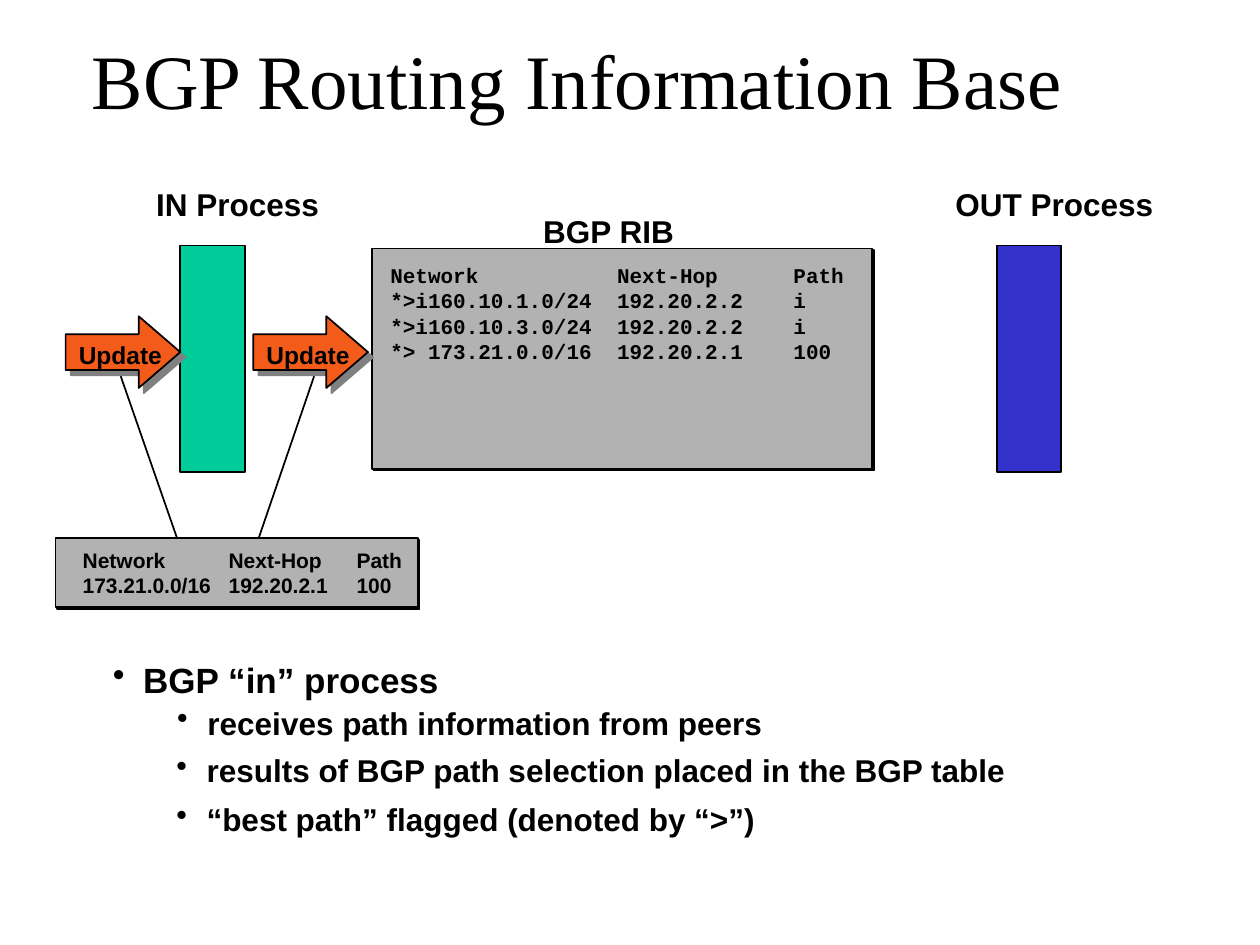
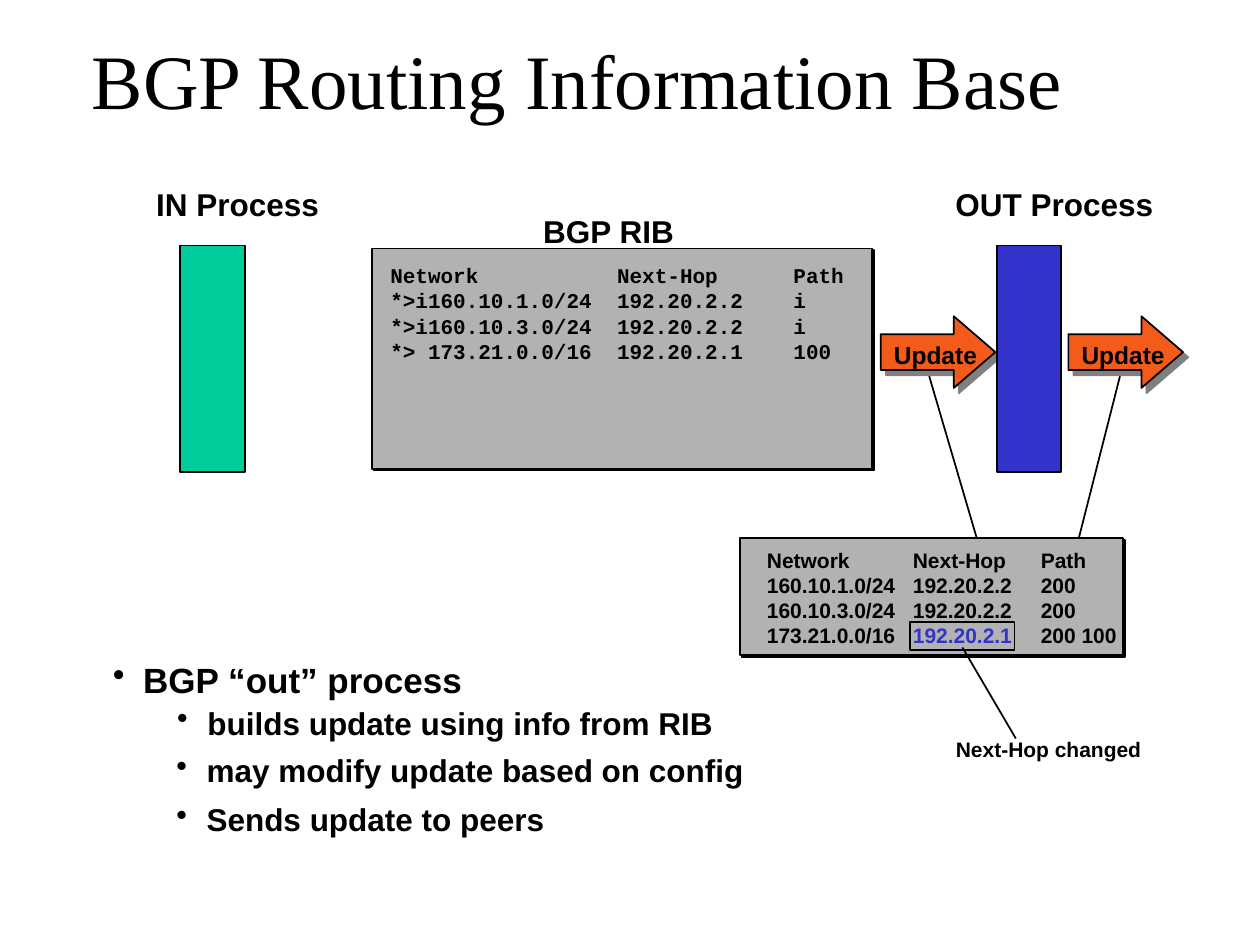
from lxml import etree
from pptx import Presentation
from pptx.dml.color import RGBColor
from pptx.enum.shapes import MSO_CONNECTOR, MSO_SHAPE
from pptx.enum.text import MSO_ANCHOR, PP_ALIGN
from pptx.oxml.ns import qn
from pptx.util import Pt

RECTANGLE, ARROW = MSO_SHAPE.RECTANGLE, MSO_SHAPE.RIGHT_ARROW
STRAIGHT = MSO_CONNECTOR.STRAIGHT
LEFT, CENTER = PP_ALIGN.LEFT, PP_ALIGN.CENTER
TOP, MIDDLE = MSO_ANCHOR.TOP, MSO_ANCHOR.MIDDLE

BLACK, GRAY, SHADE = "000000", "B2B2B2", "808080"
GREEN, BLUE, ORANGE = "00CC99", "3333CC", "F35B1B"

TITLE = "BGP Routing Information Base"
HEADER = ("Network", "Next-Hop", "Path")
RIB_ROWS = [
    HEADER,
    ("*>i160.10.1.0/24", "192.20.2.2", "i"),
    ("*>i160.10.3.0/24", "192.20.2.2", "i"),
    ("*> 173.21.0.0/16", "192.20.2.1", "100"),
]
LABELS = [
    ("IN Process", 75.75, 102, 120),
    ("BGP RIB", 297.75, 117.5, 100),
    ("OUT Process", 532.5, 102, 140),
]
BULLET_LEVELS = [(20, 17.25, 0), (18, 54, 2), (18, 53.5, 5.5), (18, 53.5, 6.5)]

SLIDES = [
    {
        "arrows_left": 37.5,
        "update": (31.75, 207, 39.5),
        "rows": [HEADER, ("173.21.0.0/16", "192.20.2.1", "100")],
        "callouts": [(69, 215, 101, 307), (179.5, 215, 148, 307)],
        "bullets": [
            "BGP “in” process",
            "receives path information from peers",
            "results of BGP path selection placed in the BGP table",
            "“best path” flagged (denoted by “>”)",
        ],
    },
    {
        "arrows_left": 503.25,
        "update": (422.75, 219, 67),
        "rows": [
            HEADER,
            ("160.10.1.0/24", "192.20.2.2", "200"),
            ("160.10.3.0/24", "192.20.2.2", "200"),
            ("173.21.0.0/16", "192.20.2.1", "200 100"),
        ],
        "callouts": [(531, 215, 558, 307), (640, 215, 616.5, 307.5)],
        "changed": (3, 1),
        "note": "Next-Hop changed",
        "bullets": [
            "BGP “out” process",
            "builds update using info from RIB",
            "may modify update based on config",
            "Sends update to peers",
        ],
    },
]

ARROW_STEP = 107.25
RIB_STYLE = {"font": "Courier New", "stops": (129.6, 230.4), "inset": (10.5, 8.2)}
UPDATE_STYLE = {"font": "Arial", "stops": (83.4, 156.5), "inset": (15.5, 5.2)}


def rgb(code):
    return RGBColor.from_string(code)


def set_all(target, values):
    for name, value in values.items():
        setattr(target, name, value)


def add_child(parent, tag, **attributes):
    return etree.SubElement(parent, qn(tag), attributes)


def add_span(para, text, size, font="Arial", color=BLACK, bold=True):
    span = para.add_run()
    span.text = text
    set_all(span.font, {"name": font, "size": Pt(size), "bold": bold})
    span.font.color.rgb = rgb(color)


def set_frame(box, insets, anchor=TOP, wrap=False):
    left, top, right, bottom = map(Pt, insets)
    set_all(box.text_frame, {
        "margin_left": left, "margin_top": top, "margin_right": right,
        "margin_bottom": bottom, "vertical_anchor": anchor, "word_wrap": wrap,
    })
    return box.text_frame


def next_para(frame, index):
    return frame.add_paragraph() if index else frame.paragraphs[0]


def add_text(page, text, place, size, anchor=TOP, **look):
    box = page.shapes.add_textbox(*map(Pt, place))
    para = set_frame(box, (7.2, 3.6, 7.2, 3.6), anchor).paragraphs[0]
    para.alignment = CENTER
    add_span(para, text, size, **look)


def add_block(page, kind, place, fill=None, shadow=None):
    block = page.shapes.add_shape(kind, *map(Pt, place))
    block.shadow.inherit = False
    if fill:
        block.fill.solid()
        block.fill.fore_color.rgb = rgb(fill)
    else:
        block.fill.background()
    block.line.color.rgb = rgb(BLACK)
    block.line.width = Pt(1)
    if shadow:
        color, distance = shadow
        effects = block._element.spPr.find(qn("a:effectLst"))
        outer = add_child(effects, "a:outerShdw", dist=str(Pt(distance)),
                          dir="2700000", algn="ctr", rotWithShape="0")
        add_child(outer, "a:srgbClr", val=color)
    return block


def add_line(page, ends):
    line = page.shapes.add_connector(STRAIGHT, *map(Pt, ends))
    line.line.color.rgb = rgb(BLACK)
    line.line.width = Pt(1)
    add_child(line._element.spPr, "a:effectLst")


def add_routes(page, place, rows, style, changed=None):
    panel = add_block(page, RECTANGLE, place, GRAY, (BLACK, 1.4))
    frame = set_frame(panel, (*style["inset"], 0, 0), wrap=True)
    for row_index, row in enumerate(rows):
        para = next_para(frame, row_index)
        stops = add_child(para._p.get_or_add_pPr(), "a:tabLst")
        for stop in style["stops"]:
            add_child(stops, "a:tab", pos=str(Pt(stop)), algn="l")
        set_all(para, {"alignment": LEFT, "line_spacing": Pt(14.4)})
        for column, value in enumerate(row):
            color = BLUE if (row_index, column) == changed else BLACK
            text = "\t" + value if column else value
            add_span(para, text, 12, style["font"], color)


def add_arrow(page, left):
    arrow = add_block(page, ARROW, (left, 180.75, 65.5, 41), ORANGE, (SHADE, 4.2))
    arrow.adjustments[0], arrow.adjustments[1] = 0.5, 0.58
    para = set_frame(arrow, (9, 3, 0, 0), MIDDLE).paragraphs[0]
    para.alignment = CENTER
    add_span(para, "Update", 14)


def add_bullets(page, lines):
    box = page.shapes.add_textbox(Pt(57.5), Pt(372.5), Pt(540), Pt(110))
    frame = set_frame(box, (7.2, 3.6, 7.2, 3.6), wrap=True)
    for index, (text, level) in enumerate(zip(lines, BULLET_LEVELS)):
        size, indent, gap = level
        para = next_para(frame, index)
        props = para._p.get_or_add_pPr()
        props.set("marL", str(Pt(indent)))
        props.set("indent", str(Pt(-17.25)))
        add_child(add_child(props, "a:buClr"), "a:srgbClr", val=BLACK)
        add_child(props, "a:buChar", char="•")
        if gap:
            para.space_before = Pt(gap)
        add_span(para, text, size)


def add_note(page, text):
    add_block(page, RECTANGLE, (520, 355.5, 59.75, 16))
    add_line(page, (550, 370, 580.5, 422))
    add_text(page, text, (534, 417.25, 130.5, 21.5), 12)


def build_page(deck, content):
    page = deck.slides.add_slide(deck.slide_layouts[6])
    add_text(page, TITLE, (24, 0, 612, 90), 44, MIDDLE,
             font="Times New Roman", bold=False)
    for text, *place in LABELS:
        add_text(page, text, (*place, 28.5), 18)
    add_routes(page, (212.5, 142, 286, 126), RIB_ROWS, RIB_STYLE)
    add_block(page, RECTANGLE, (103, 140.25, 37, 129.5), GREEN)
    for step in range(2):
        add_arrow(page, content["arrows_left"] + step * ARROW_STEP)
    add_block(page, RECTANGLE, (569.5, 140.25, 37, 129.5), BLUE)
    left, width, height = content["update"]
    add_routes(page, (left, 307.5, width, height), content["rows"],
               UPDATE_STYLE, content.get("changed"))
    for ends in content["callouts"]:
        add_line(page, ends)
    add_bullets(page, content["bullets"])
    if "note" in content:
        add_note(page, content["note"])


def main():
    deck = Presentation()
    set_all(deck, {"slide_width": Pt(720), "slide_height": Pt(540)})
    for content in SLIDES:
        build_page(deck, content)
    deck.save("out.pptx")


if __name__ == "__main__":
    main()
